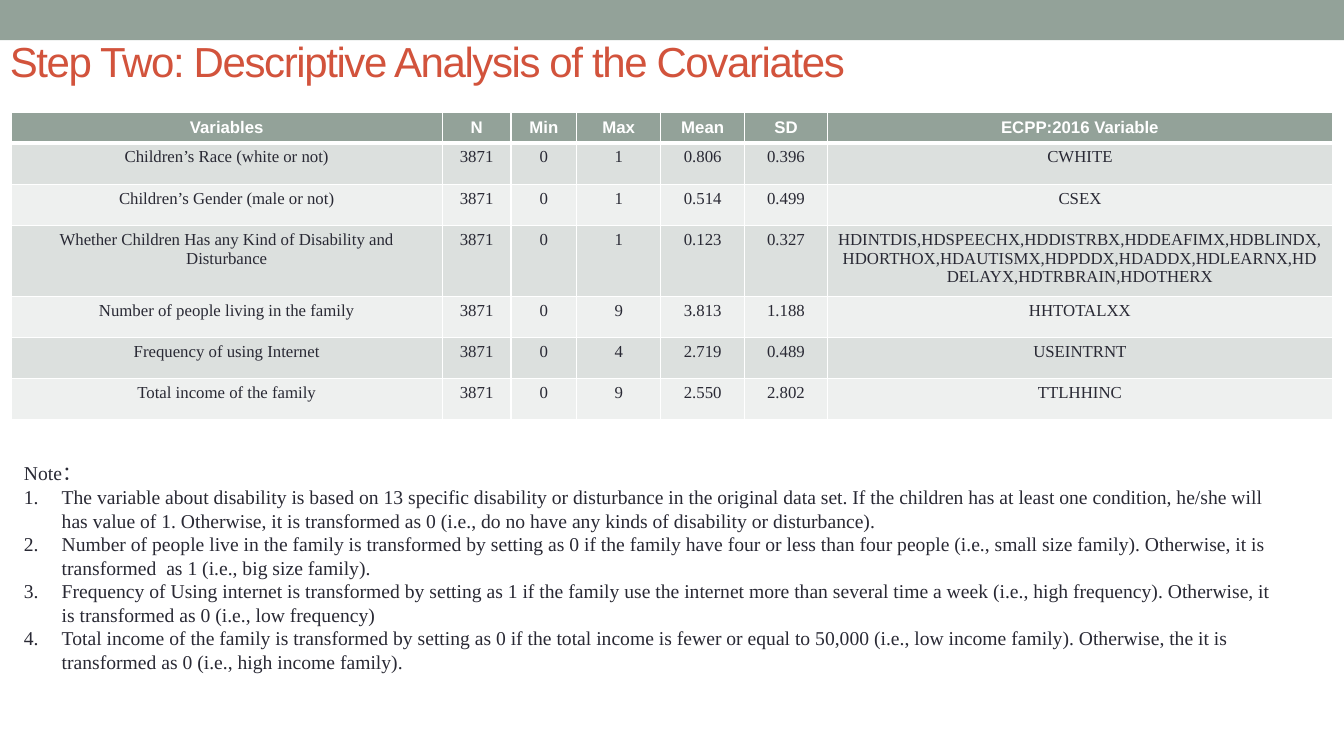
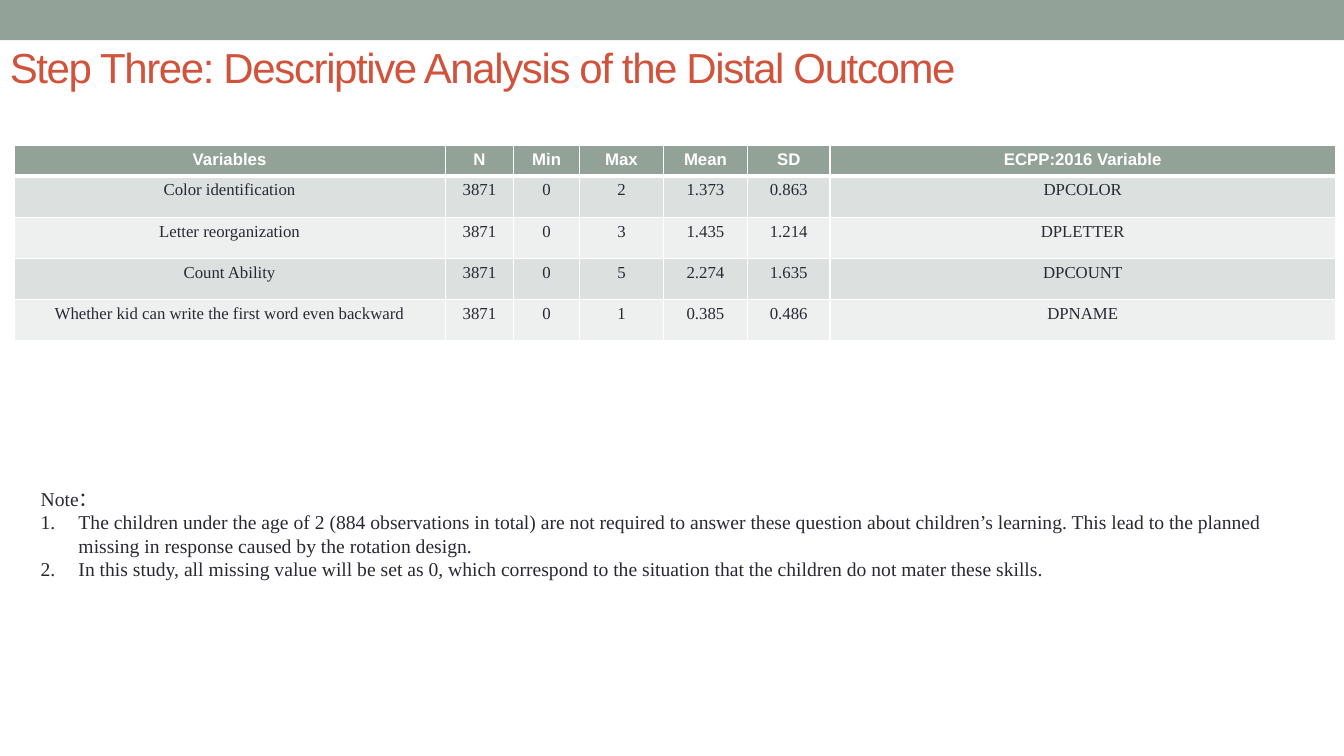
from lxml.etree import SubElement
from pptx import Presentation
from pptx.dml.color import RGBColor
from pptx.enum.shapes import MSO_SHAPE
from pptx.enum.text import MSO_ANCHOR, MSO_AUTO_SIZE, PP_ALIGN
from pptx.oxml.ns import qn
from pptx.util import Pt

SAGE, RUST, INK, WHITE = "93A299", "D2533C", "292934", "FFFFFF"
ROW_FILLS = ("DCE0DE", "EEF0EF")
TITLE = {"name": "Arial", "size": Pt(30)}
HEADER = {"name": "Arial", "size": Pt(12), "bold": True}
BODY = {"name": "Times New Roman", "size": Pt(12), "bold": False}
NOTE = {"name": "Times New Roman", "size": Pt(14)}

SLIDE_W, SLIDE_H, BAND_H = 960, 540, 28.8
COLUMNS = ("Variables", "N", "Min", "Max", "Mean", "SD", "ECPP:2016 Variable")
COL_WIDTHS = (308, 49, 47, 60, 60, 59, 361)
HEADER_H, ROW_H = 20, 29.5
NOTE_INDENT = 27

COVARIATES = [
    ("Children’s Race (white or not)", "3871", "0", "1", "0.806", "0.396", "CWHITE"),
    ("Children’s Gender (male or not)", "3871", "0", "1", "0.514", "0.499", "CSEX"),
    ("Whether Children Has any Kind of Disability and Disturbance",
     "3871", "0", "1", "0.123", "0.327",
     "HDINTDIS,HDSPEECHX,HDDISTRBX,HDDEAFIMX,HDBLINDX,HDORTHOX,HDAUTISMX,"
     "HDPDDX,HDADDX,HDLEARNX,HDDELAYX,HDTRBRAIN,HDOTHERX"),
    ("Number of people living in the family", "3871", "0", "9", "3.813", "1.188", "HHTOTALXX"),
    ("Frequency of using Internet", "3871", "0", "4", "2.719", "0.489", "USEINTRNT"),
    ("Total income of the family", "3871", "0", "9", "2.550", "2.802", "TTLHHINC"),
]
COVARIATE_NOTES = [
    "The variable about disability is based on 13 specific disability or disturbance in the "
    "original data set. If the children has at least one condition, he/she will has value of 1. "
    "Otherwise, it is transformed as 0 (i.e., do no have any kinds of disability or disturbance).",
    "Number of people live in the family is transformed by setting as 0 if the family have four "
    "or less than four people (i.e., small size family). Otherwise, it is transformed  as 1 "
    "(i.e., big size family).",
    "Frequency of Using internet is transformed by setting as 1 if the family use the internet "
    "more than several time a week (i.e., high frequency). Otherwise, it is transformed as 0 "
    "(i.e., low frequency)",
    "Total income of the family is transformed by setting as 0 if the total income is fewer or "
    "equal to 50,000 (i.e., low income family). Otherwise, the it is transformed as 0 "
    "(i.e., high income family).",
]
OUTCOMES = [
    ("Color identification", "3871", "0", "2", "1.373", "0.863", "DPCOLOR"),
    ("Letter reorganization", "3871", "0", "3", "1.435", "1.214", "DPLETTER"),
    ("Count Ability", "3871", "0", "5", "2.274", "1.635", "DPCOUNT"),
    ("Whether kid can write the first word even backward",
     "3871", "0", "1", "0.385", "0.486", "DPNAME"),
]
OUTCOME_NOTES = [
    "The children under the age of 2 (884 observations in total) are not required to answer "
    "these question about children’s learning. This lead to the planned missing in response "
    "caused by the rotation design.",
    "In this study, all missing value will be set as 0, which correspond to the situation that "
    "the children do not mater these skills.",
]


def rgb(color):
    return RGBColor.from_string(color)


def add_run(p, text, style, color):
    r = p.add_run()
    r.text = text
    for key, value in style.items():
        setattr(r.font, key, value)
    r.font.color.rgb = rgb(color)
    return r


def add_band(s):
    sp = s.shapes.add_shape(MSO_SHAPE.RECTANGLE, 0, 0, Pt(SLIDE_W), Pt(BAND_H))
    sp.shadow.inherit = False
    sp.fill.solid()
    sp.fill.fore_color.rgb = rgb(SAGE)
    sp.line.fill.background()


def add_text_box(s, left, top, width, height):
    tf = s.shapes.add_textbox(Pt(left), Pt(top), Pt(width), Pt(height)).text_frame
    tf.word_wrap = True
    return tf


def add_title(s, text, top):
    tf = add_text_box(s, 0, top, 864, 36)
    tf.vertical_anchor = MSO_ANCHOR.MIDDLE
    r = add_run(tf.paragraphs[0], text, TITLE, RUST)
    r._r.get_or_add_rPr().set("spc", "-100")


def set_borders(cell, **widths):
    tcPr = cell._tc.get_or_add_tcPr()
    for side in "LRTB":
        ln = SubElement(tcPr, qn(f"a:ln{side}"), w=str(Pt(widths.get(side, 1))))
        SubElement(SubElement(ln, qn("a:solidFill")), qn("a:srgbClr"), val=WHITE)


def fill_cell(cell, text, style, color, fill, **widths):
    set_borders(cell, **widths)
    cell.fill.solid()
    cell.fill.fore_color.rgb = rgb(fill)
    p = cell.text_frame.paragraphs[0]
    p.alignment = PP_ALIGN.CENTER
    add_run(p, text, style, color)


def add_stats_table(s, left, top, rows):
    height = HEADER_H + ROW_H * len(rows)
    table = s.shapes.add_table(len(rows) + 1, len(COLUMNS), Pt(left), Pt(top),
                               Pt(sum(COL_WIDTHS)), Pt(height)).table
    for column, width in zip(table.columns, COL_WIDTHS):
        column.width = Pt(width)
    for i, values in enumerate([COLUMNS, *rows]):
        table.rows[i].height = Pt(ROW_H if i else HEADER_H)
        for j, text in enumerate(values):
            cell = table.cell(i, j)
            if i == 0:
                fill_cell(cell, text, HEADER, WHITE, SAGE, B=3)
            else:
                fill_cell(cell, text, BODY, INK, ROW_FILLS[(i - 1) % 2], T=3 if i == 1 else 1)


def add_notes_list(s, left, top, height, notes):
    tf = add_text_box(s, left, top, 916, height)
    tf.auto_size = MSO_AUTO_SIZE.SHAPE_TO_FIT_TEXT
    add_run(tf.paragraphs[0], "Note：", NOTE, INK)
    for text in notes:
        p = tf.add_paragraph()
        pPr = p._p.get_or_add_pPr()
        pPr.set("marL", str(Pt(NOTE_INDENT)))
        pPr.set("indent", str(Pt(-NOTE_INDENT)))
        SubElement(pPr, qn("a:buFont"), typeface="+mj-lt")
        SubElement(pPr, qn("a:buAutoNum"), type="arabicPeriod")
        add_run(p, text, NOTE, INK)


def add_analysis_slide(prs, title, title_top, table_at, rows, notes_at, notes):
    s = prs.slides.add_slide(prs.slide_layouts[6])
    add_band(s)
    add_title(s, title, title_top)
    add_stats_table(s, *table_at, rows)
    add_notes_list(s, *notes_at, notes)


def main():
    prs = Presentation()
    prs.slide_width, prs.slide_height = Pt(SLIDE_W), Pt(SLIDE_H)
    add_analysis_slide(prs, "Step Two: Descriptive Analysis of the Covariates", 25.5,
                       (8, 80.5), COVARIATES, (10, 326, 160), COVARIATE_NOTES)
    add_analysis_slide(prs, "Step Three: Descriptive Analysis of the Distal Outcome", 29.5,
                       (10, 104), OUTCOMES, (22, 344, 75), OUTCOME_NOTES)
    prs.save("out.pptx")


if __name__ == "__main__":
    main()
